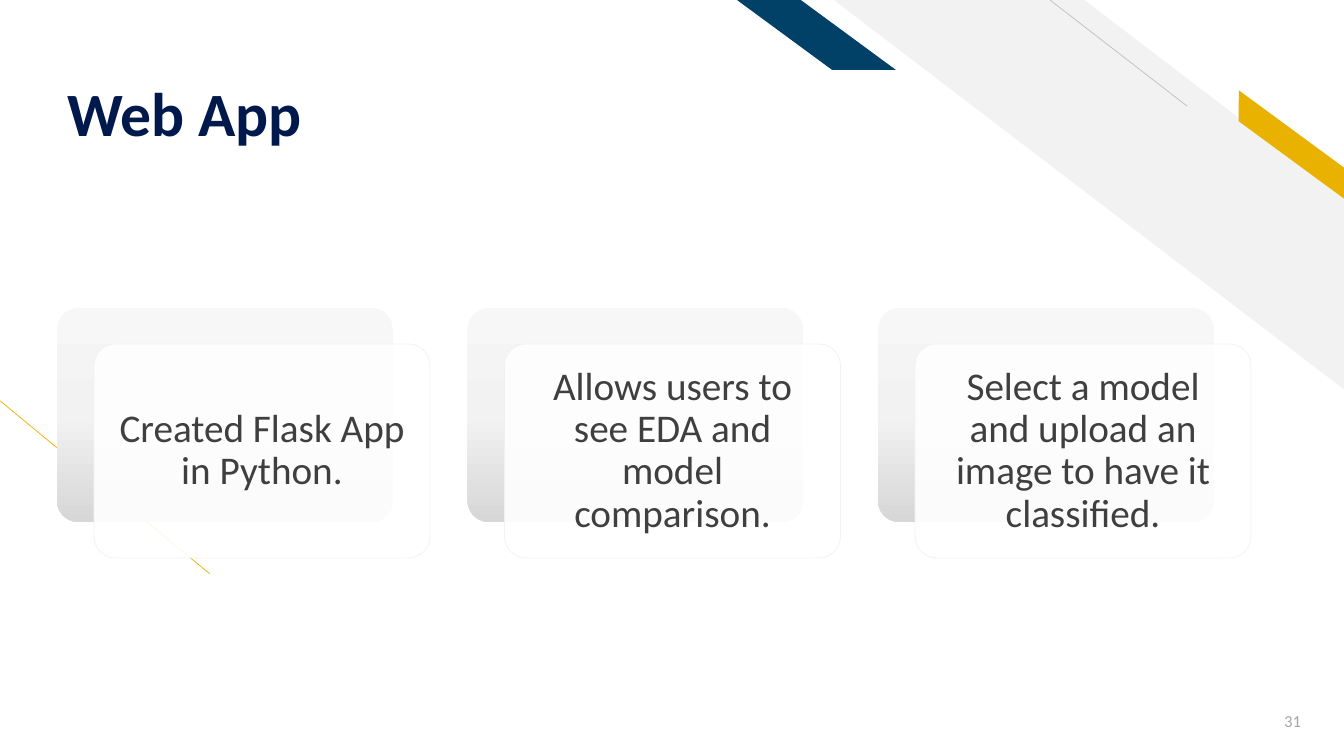
from copy import deepcopy
from lxml import etree
from pptx import Presentation
from pptx.dml.color import RGBColor
from pptx.enum.shapes import MSO_CONNECTOR, MSO_SHAPE
from pptx.enum.text import MSO_ANCHOR, PP_ALIGN
from pptx.oxml.ns import qn
from pptx.util import Pt

PX = 914400 / 100.8
ROUND = MSO_SHAPE.ROUNDED_RECTANGLE
SLANT = MSO_SHAPE.PARALLELOGRAM
STRIPE = MSO_SHAPE.DIAGONAL_STRIPE
STRAIGHT = MSO_CONNECTOR.STRAIGHT
MIDDLE, BOTTOM = MSO_ANCHOR.MIDDLE, MSO_ANCHOR.BOTTOM
LEFT, CENTER, RIGHT = PP_ALIGN.LEFT, PP_ALIGN.CENTER, PP_ALIGN.RIGHT
rgb = RGBColor.from_string


def px(*vals):
    return [round(v * PX) for v in vals]


def write(frame, text, size, color, align=LEFT, bold=False):
    """Add one formatted run to the first paragraph of a frame."""
    para = frame.paragraphs[0]
    para.alignment = align
    run = para.add_run()
    run.text = text
    run.font.name, run.font.size, run.font.bold = "Calibri", Pt(size), bold
    run.font.color.rgb = rgb(color)
    return para


prs = Presentation()
prs.slide_width, prs.slide_height = px(1344, 756)
slide = prs.slides.add_slide(prs.slide_layouts[5])
shapes = slide.shapes

# Background stripes and thin lines
for kind, box, adj, color, turn in [
    (STRIPE, (834, 0, 511, 390), 0.51, "F2F2F2", 0),
    (SLANT, (1217, 132, 149, 25), 0.72, "EAB200", 36.3),
    (SLANT, (737, 0, 159, 70), 1.36, "014067", 0),
]:
    band = shapes.add_shape(kind, *px(*box))
    band.shadow.inherit = False
    band.adjustments[0] = adj
    band.rotation = turn
    band._element.spPr.find(qn("a:xfrm")).set("flipH", "1")
    band.fill.solid()
    band.fill.fore_color.rgb = rgb(color)
    band.line.fill.background()

for ends, color in [((210, 574, -1, 400), "EAB200"), ((1187, 106, 1050, 0), "BFBFBF")]:
    line = shapes.add_connector(STRAIGHT, *px(*ends))
    line.line.width = Pt(0.5)
    line.line.color.rgb = rgb(color)
    etree.SubElement(line._element.spPr, qn("a:effectLst"))

# Title and page number
title = shapes.title
title.left, title.top, title.width, title.height = px(57, 23, 918, 127)
frame = title.text_frame
frame.word_wrap = True
frame.vertical_anchor = BOTTOM
frame.margin_bottom = 0
write(frame, "Web App", 44, "00194C", bold=True).line_spacing = 0.9

page = shapes.add_textbox(*px(1229, 701, 82, 40)).text_frame
page.word_wrap = True
page.vertical_anchor = MIDDLE
write(page, "31", 12, "A5A5A5", RIGHT).space_after = Pt(6)

# Cards, each a white panel over a grey one
for i, text in enumerate([
    "Created Flask App in Python.",
    "Allows users to see EDA and model comparison.",
    "Select a model and upload an image to have it classified.",
]):
    left = 57 + 410.5 * i
    back = shapes.add_shape(ROUND, *px(left, 308, 336, 214))
    card = shapes.add_shape(ROUND, *px(left + 37, 344, 336, 214))
    for panel in (back, card):
        panel.shadow.inherit = False
        panel.adjustments[0] = 0.1

    back.line.fill.background()
    back.fill.gradient()
    back.fill.gradient_angle = 270
    stops = back._element.spPr.find(".//" + qn("a:gsLst"))
    stops.append(deepcopy(stops[0]))
    tones = [(0, "F7F7F7"), (0.5, "F2F2F2"), (1, "D7D7D7")]
    for stop, (pos, color) in zip(back.fill.gradient_stops, tones):
        stop.position = pos
        stop.color.rgb = rgb(color)

    card.fill.solid()
    card.fill.fore_color.rgb = rgb("FFFFFF")
    tint = card._element.spPr.find(qn("a:solidFill"))[0]
    etree.SubElement(tint, qn("a:alpha"), val="90000")
    card.line.width = Pt(0.5)
    card.line.color.rgb = rgb("F2F2F2")
    frame = card.text_frame
    frame.word_wrap = True
    frame.vertical_anchor = MIDDLE
    frame.margin_left, frame.margin_right = px(16, 16)
    write(frame, text, 28, "3F3F3F", CENTER).line_spacing = 0.9

prs.save("out.pptx")
